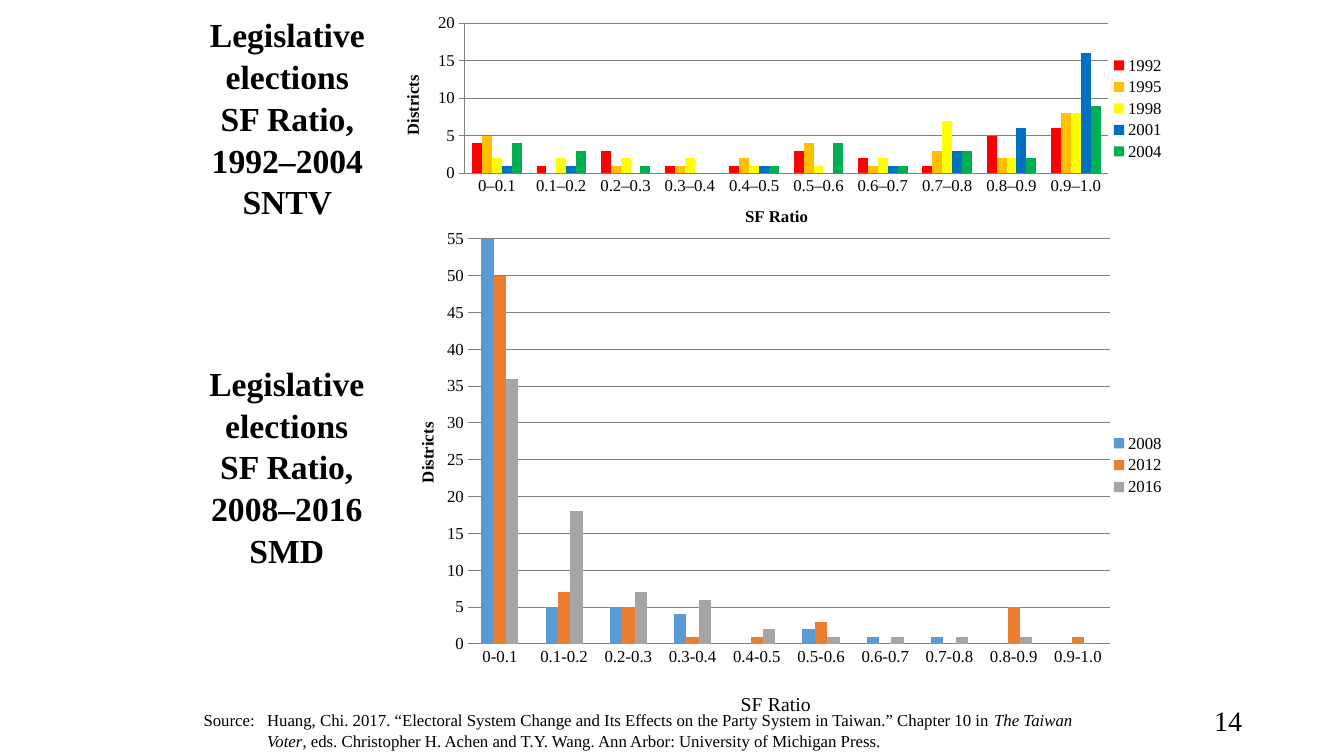
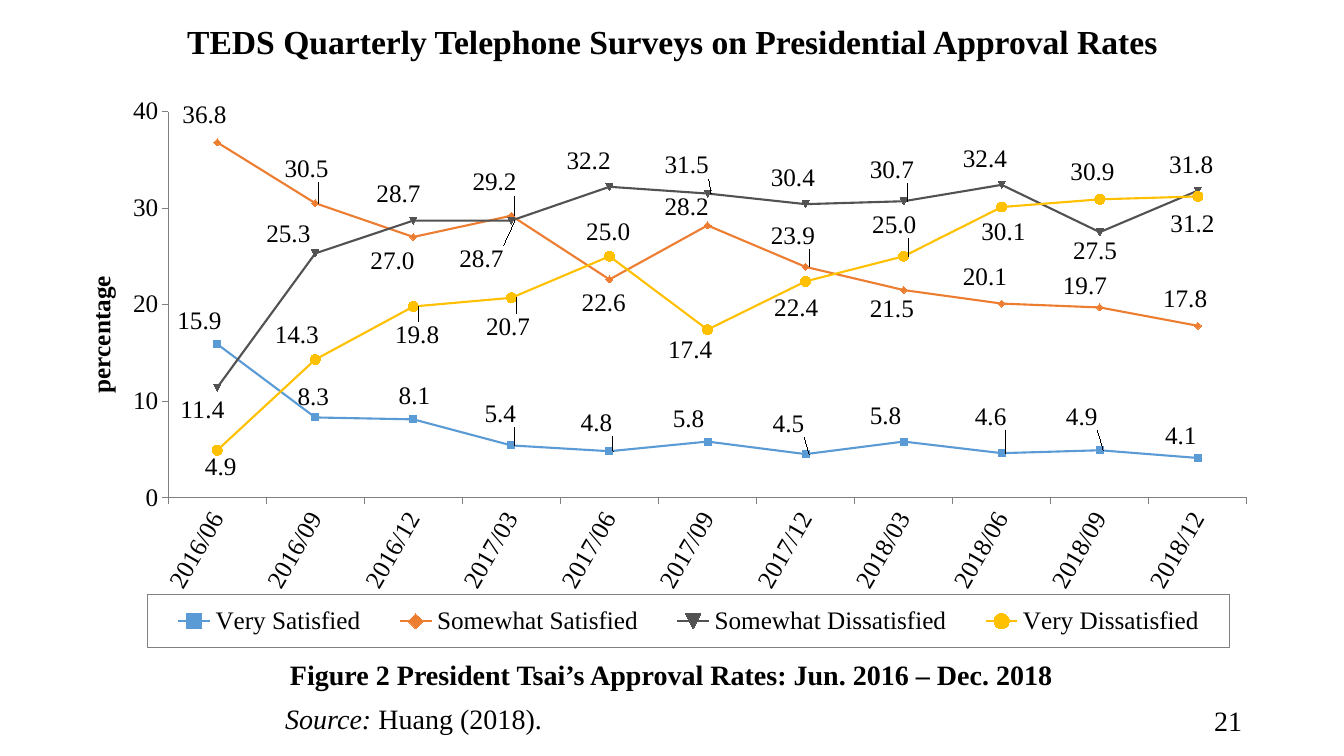
import pptx
import pptx.util
import pptx.chart.data
import pptx.dml.color
import pptx.enum.chart
import pptx.enum.text
import pptx.oxml
import pptx.oxml.ns

PX = 9144
FONT = "Times New Roman"
HUES = {
    "ink": "000000", "rule": "808080",
    "red": "FF0000", "amber": "FFC000", "yellow": "FFFF00",
    "navy": "0070C0", "green": "00B050",
    "blue": "5B9BD5", "orange": "ED7D31", "gray": "A5A5A5", "slate": "525252",
}
ALIGN = pptx.enum.text.PP_ALIGN
ANCHOR = pptx.enum.text.MSO_ANCHOR
KIND = pptx.enum.chart.XL_CHART_TYPE
SIDE = pptx.enum.chart.XL_LEGEND_POSITION
TICK = pptx.enum.chart.XL_TICK_MARK
MARK = pptx.enum.chart.XL_MARKER_STYLE
qn = pptx.oxml.ns.qn


def hue(name):
    return pptx.dml.color.RGBColor.from_string(HUES[name])


def node(tag, body="", attrs=""):
    spaces = pptx.oxml.ns.nsdecls("c", "a")
    return pptx.oxml.parse_xml(f"<{tag} {spaces} {attrs}>{body}</{tag}>")


def layout(owner, after=None, inner=False, **spots):
    old = owner.find(qn("c:layout"))
    if old is not None:
        owner.remove(old)
    body = '<c:layoutTarget val="inner"/>' if inner else ""
    if "w" in spots:
        body += '<c:xMode val="edge"/><c:yMode val="edge"/>'
    elif after == "c:tx":
        body += '<c:xMode val="edge"/><c:yMode val="edge"/>'
    body += "".join(f'<c:{key} val="{val:.4f}"/>' for key, val in spots.items())
    new = node("c:layout", f"<c:manualLayout>{body}</c:manualLayout>")
    if after:
        owner.find(qn(after)).addnext(new)
    else:
        owner.insert(0, new)


class Deck:
    def __init__(self):
        self.show = pptx.Presentation()
        self.show.slide_width = 1333 * PX
        self.show.slide_height = 750 * PX
        self.slide = None

    def page(self, number):
        self.slide = self.show.slides.add_slide(self.show.slide_layouts[5])
        self.text((942, 695, 300, 40), [[(number, "")]], 20, ALIGN.RIGHT, ANCHOR.MIDDLE)

    def style(self, font, size, bold=False):
        font.name = FONT
        font.size = pptx.util.Pt(size)
        font.bold = bold
        font.color.rgb = hue("ink")

    def text(self, box, lines, size, align=ALIGN.LEFT, anchor=ANCHOR.TOP,
             title=False, wrap=True, hang=None, lead=None):
        spot = [n * PX for n in box]
        if title:
            shape = self.slide.shapes.title
            shape.left, shape.top, shape.width, shape.height = spot
        else:
            shape = self.slide.shapes.add_textbox(*spot)
        frame = shape.text_frame
        frame.word_wrap = wrap
        frame.auto_size = pptx.enum.text.MSO_AUTO_SIZE.NONE
        frame.vertical_anchor = anchor
        for i, line in enumerate(lines):
            para = frame.add_paragraph() if i else frame.paragraphs[0]
            para.alignment = align
            if lead:
                para.line_spacing = lead
            if hang:
                props = para._p.get_or_add_pPr()
                props.set("marL", str(hang[0] * PX))
                props.set("indent", str(hang[1] * PX))
            for words, mode in line:
                run = para.add_run()
                run.text = words
                self.style(run.font, size, "b" in mode)
                run.font.italic = "i" in mode

    def label(self, box, lines, title=False):
        self.text(box, [[(line, "b")] for line in lines], 24, ALIGN.CENTER,
                  ANCHOR.MIDDLE, title=title, lead=1.04)

    def chart(self, kind, box, plot, cats, rows, size, top, step, side=SIDE.RIGHT):
        data = pptx.chart.data.CategoryChartData()
        data.categories = cats
        form = "0.0" if kind == KIND.LINE_MARKERS else "General"
        for name, _, vals in rows:
            data.add_series(name, vals, form)
        frame = self.slide.shapes.add_chart(kind, *[n * PX for n in box], data)
        chart = frame.chart
        self.style(chart.font, size)
        clear = "<a:noFill/><a:ln><a:noFill/></a:ln>"
        chart._chartSpace.find(qn("c:txPr")).addprevious(node("c:spPr", clear))
        chart.has_title = False
        chart.has_legend = True
        chart.legend.position = side
        chart.legend.include_in_layout = False
        self.style(chart.legend.font, size)
        layout(chart._chartSpace.chart.plotArea, inner=True, **dict(zip("xywh", plot)))
        chart.plots[0].vary_by_categories = False
        vert = chart.value_axis
        vert.minimum_scale, vert.maximum_scale, vert.major_unit = 0, top, step
        vert.tick_labels.number_format = "0"
        vert.tick_labels.number_format_is_linked = False
        for axis in (vert, chart.category_axis):
            self.rule(axis.format.line)
            axis.minor_tick_mark = TICK.NONE
            axis.major_tick_mark = TICK.NONE
            self.style(axis.tick_labels.font, size)
        return chart

    def rule(self, line):
        line.color.rgb = hue("rule")
        line.width = pptx.util.Pt(0.75)

    def head(self, title, words, x, y, size, bold=True):
        title.text_frame.text = words
        self.style(title.text_frame.paragraphs[0].runs[0].font, size, bold)
        layout(title._element, "c:tx", x=x, y=y)

    def bars(self, box, plot, cats, rows, top, gap):
        chart = self.chart(KIND.COLUMN_CLUSTERED, box, plot, cats, rows, 12, top, 5)
        chart.plots[0].gap_width = gap
        chart.plots[0].overlap = 0
        self.rule(chart.value_axis.major_gridlines.format.line)
        for series, (_, tint, _) in zip(chart.plots[0].series, rows):
            series.format.fill.solid()
            series.format.fill.fore_color.rgb = hue(tint)
        return chart

    def lines(self, box, plot, cats, rows, shifts):
        chart = self.chart(KIND.LINE_MARKERS, box, plot, cats, rows, 18, 40, 10, SIDE.BOTTOM)
        chart.value_axis.has_major_gridlines = False
        for axis in (chart.value_axis, chart.category_axis):
            axis.major_tick_mark = TICK.OUTSIDE
        turn = chart.category_axis._element.find(qn("c:txPr")).find(qn("a:bodyPr"))
        turn.set("rot", "-3600000")
        turn.set("vert", "horz")
        for series, (_, tint, vals), moves in zip(chart.plots[0].series, rows, shifts):
            series.smooth = False
            series.format.line.color.rgb = hue(tint)
            series.format.line.width = pptx.util.Pt(1.5)
            mark = series.marker
            mark.style = MARK.CIRCLE if tint == "amber" else MARK.AUTOMATIC
            mark.size = 7 if tint == "amber" else 5
            mark.format.fill.solid()
            mark.format.fill.fore_color.rgb = hue(tint)
            mark.format.line.color.rgb = hue(tint)
            tags = series.data_labels
            tags.show_value = True
            tags.number_format = "0.0"
            tags.number_format_is_linked = False
            tags.position = pptx.enum.chart.XL_LABEL_POSITION.RIGHT
            for i, (val, (dx, dy)) in enumerate(zip(vals, moves)):
                tag = series.points[i].data_label
                tag.position = pptx.enum.chart.XL_LABEL_POSITION.RIGHT
                item = tags._element.findall(qn("c:dLbl"))[i]
                half = 30 if val >= 10 else 24
                layout(item, "c:idx", x=(dx - half) / box[2], y=dy / box[3])
                item.find(qn("c:layout")).addnext(
                    node("c:numFmt", attrs='formatCode="0.0" sourceLinked="0"'))
        return chart

    def frame(self, legend, x, y, w, h):
        layout(legend._element, "c:legendPos", x=x, y=y, w=w, h=h)
        edge = f'<a:solidFill><a:srgbClr val="{HUES["rule"]}"/></a:solidFill>'
        legend._element.find(qn("c:txPr")).addprevious(
            node("c:spPr", f'<a:noFill/><a:ln w="9525">{edge}</a:ln>'))


def ratios(deck):
    deck.page("14")
    deck.label((167, 10, 236, 212),
               ["Legislative elections", "SF Ratio,", "1992–2004", "SNTV"], title=True)
    deck.label((166, 356, 237, 212),
               ["Legislative", "elections", "SF Ratio,", "2008–2016", "SMD"])
    deck.text((167, 698, 941, 50), [[
        ("Source: \tHuang, Chi. 2017. “Electoral System Change and Its Effects on "
         "the Party System in Taiwan.” Chapter 10 in", ""),
        (" The Taiwan Voter", "i"),
        (", eds. Christopher H. Achen and T.Y. Wang. Ann Arbor: "
         "University of Michigan Press.", "")]], 12, hang=(88, -63), lead=1.04)

    ends = ["0"] + [f"0.{n}" for n in range(1, 10)] + ["1.0"]
    pairs = list(zip(ends, ends[1:]))
    sntv = deck.bars(
        (166, -10, 1000, 239), (0.295, 0.14, 0.638, 0.633),
        ["–".join(pair) for pair in pairs], [
            ("1992", "red", (4, 1, 3, 1, 1, 3, 2, 1, 5, 6)),
            ("1995", "amber", (5, 0, 1, 1, 2, 4, 1, 3, 2, 8)),
            ("1998", "yellow", (2, 2, 2, 2, 1, 1, 2, 7, 2, 8)),
            ("2001", "navy", (1, 1, 0, 0, 1, 0, 1, 3, 6, 16)),
            ("2004", "green", (4, 3, 1, 0, 1, 4, 1, 3, 2, 9)),
        ], 20, 150)
    sntv.value_axis.major_tick_mark = TICK.OUTSIDE
    deck.head(sntv.category_axis.axis_title, "SF Ratio", 0.57, 0.9, 12)
    deck.head(sntv.value_axis.axis_title, "Districts", 0.23, 0.35, 12)

    smd = deck.bars(
        (403, 178, 763, 567), (0.08, 0.104, 0.835, 0.709),
        ["-".join(pair) for pair in pairs], [
            ("2008", "blue", (55, 5, 5, 4, 0, 2, 1, 1, 0, 0)),
            ("2012", "orange", (50, 7, 5, 1, 1, 3, 0, 0, 5, 1)),
            ("2016", "gray", (36, 18, 7, 6, 2, 1, 1, 1, 1, 0)),
        ], 55, 219)
    smd.value_axis.format.line.fill.background()
    deck.head(smd.value_axis.axis_title, "Districts", 0.01, 0.42, 12)
    deck.head(smd.chart_title, "SF Ratio", 0.43, 0.89, 14, False)


def surveys(deck):
    deck.page("21")
    deck.text((167, 16, 1000, 50),
              [[("TEDS Quarterly Telephone Surveys on Presidential Approval Rates", "b")]],
              24, ALIGN.CENTER, title=True)
    deck.text((256, 647, 820, 44),
              [[("Figure 2 President Tsai’s Approval Rates: Jun. 2016 – Dec. 2018", "b")]],
              20, ALIGN.CENTER)
    deck.text((273, 691, 277, 44), [[("Source:", "i"), (" Huang (2018).", "")]],
              20, wrap=False)
    dates = [f"{year}/{month:02}" for year in (2016, 2017, 2018)
             for month in (3, 6, 9, 12)][1:]
    rows = [
        ("Very Satisfied", "blue",
         (15.9, 8.3, 8.1, 5.4, 4.8, 5.8, 4.5, 5.8, 4.6, 4.9, 4.1)),
        ("Somewhat Satisfied", "orange",
         (36.8, 30.5, 27, 29.2, 22.6, 28.2, 23.9, 21.5, 20.1, 19.7, 17.8)),
        ("Somewhat Dissatisfied", "slate",
         (11.4, 25.3, 28.7, 28.7, 32.2, 31.5, 30.4, 30.7, 32.4, 27.5, 31.8)),
        ("Very Dissatisfied", "amber",
         (4.9, 14.3, 19.8, 20.7, 25, 17.4, 22.4, 25, 30.1, 30.9, 31.2)),
    ]
    shifts = [
        [(-17, -23), (-1, -20), (2, -23), (-10, -31), (-12, -28), (-18, -22),
         (-16, -30), (-17, -25), (-10, -36), (-17, -33), (-16, -22)],
        [(-12, -27), (-8, -34), (-20, 24), (-16, -33), (-5, 23), (-20, -18),
         (-12, -31), (-11, 19), (-16, -26), (-14, -21), (-12, -26)],
        [(-14, 22), (-26, -19), (-14, -26), (-29, 38), (-20, -26), (-20, -28),
         (-12, -26), (-11, -31), (-16, -26), (-4, 19), (-6, -25)],
        [(3, 17), (-19, -24), (3, 28), (-4, 29), (-2, -24), (-18, 20),
         (-10, 27), (-10, -31), (1, 25), (-8, -27), (-6, 27)],
    ]
    chart = deck.lines((68, 83, 1220, 565), (0.081, 0.049, 0.877, 0.678),
                       dates, rows, shifts)
    deck.head(chart.value_axis.axis_title, "percentage", 0.01, 0.33, 18)
    deck.frame(chart.legend, 0.064, 0.897, 0.88, 0.094)


def main():
    deck = Deck()
    ratios(deck)
    surveys(deck)
    deck.show.save("out.pptx")


if __name__ == "__main__":
    main()
